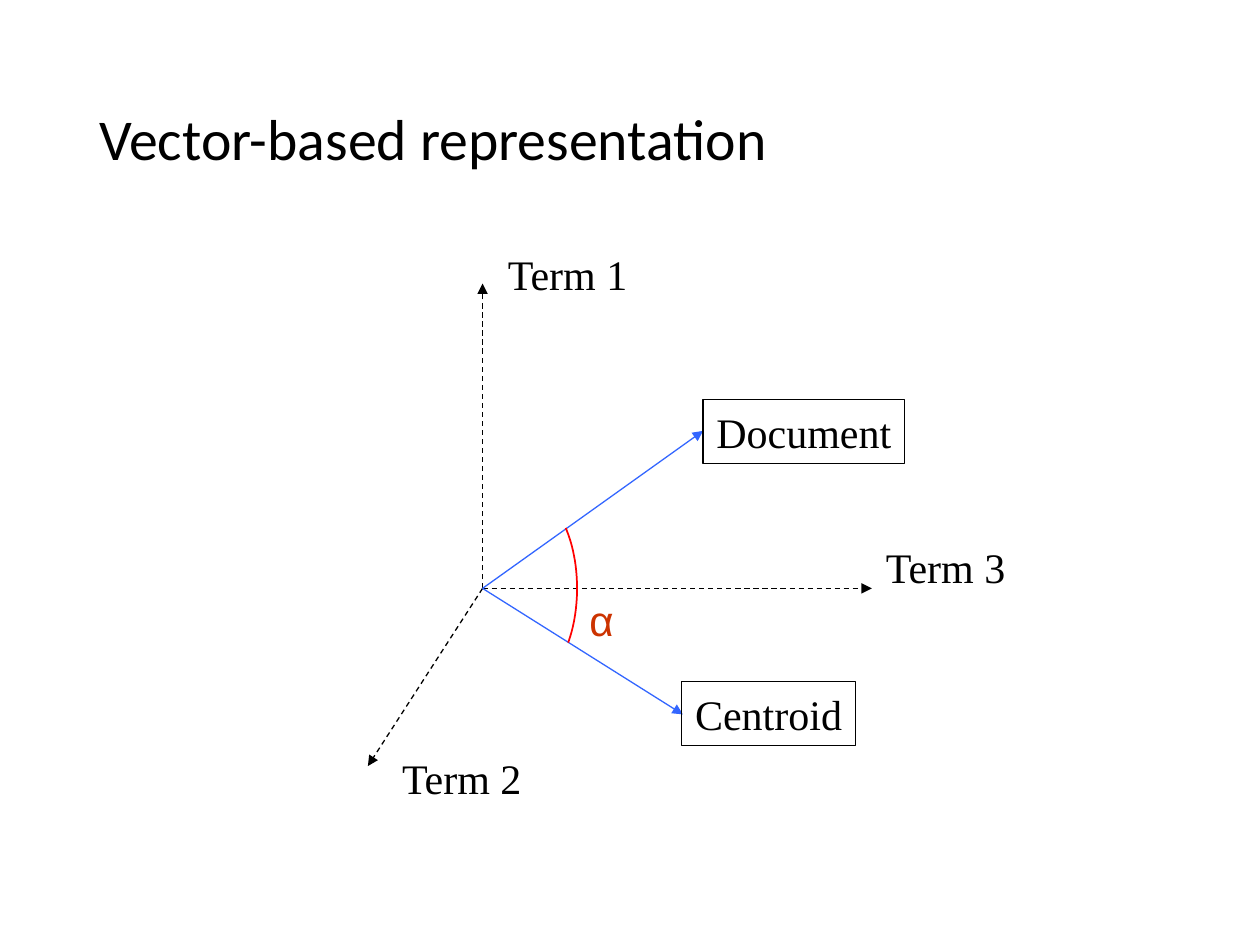
from dataclasses import dataclass
from math import asin, cos, sin

from pptx import Presentation
from pptx.dml.color import RGBColor
from pptx.enum.dml import MSO_LINE
from pptx.enum.shapes import MSO_CONNECTOR, MSO_SHAPE
from pptx.enum.text import MSO_ANCHOR, MSO_AUTO_SIZE, PP_ALIGN
from pptx.oxml.xmlchemy import OxmlElement
from pptx.slide import Slide
from pptx.util import Inches, Pt

BLACK, BLUE, RED, RUST = "000000", "3366FF", "FF0000", "CC3300"
ORIGIN = (3.83, 4.67)


@dataclass
class Label:
    """A piece of text with its place and look."""
    text: str
    left: float
    top: float
    width: float
    height: float = 0.5
    font: str = "Times New Roman"
    size: int = 24
    color: str = BLACK
    align: PP_ALIGN = PP_ALIGN.CENTER
    anchor: MSO_ANCHOR = MSO_ANCHOR.MIDDLE
    wrap: bool = False
    fit: MSO_AUTO_SIZE = MSO_AUTO_SIZE.SHAPE_TO_FIT_TEXT
    spacing: float = 1.0
    framed: bool = False


@dataclass
class Arrow:
    """An arrow that starts at the origin."""
    x: float
    y: float
    color: str = BLACK
    dashed: bool = True


LABELS = [
    Label("Vector-based representation", 0.69, 0.4, 8.62, 1.45, "Calibri", 33,
          align=PP_ALIGN.LEFT, wrap=True, fit=MSO_AUTO_SIZE.NONE, spacing=0.9),
    Label("Term 1", 3.92, 1.92, 1.17),
    Label("Term 2", 3.08, 5.92, 1.17),
    Label("Term 3", 6.92, 4.25, 1.17),
    Label("Document", 5.58, 3.17, 1.6, 0.51, framed=True),
    Label("Centroid", 5.41, 5.41, 1.38, 0.51, framed=True),
    Label("α", 4.58, 4.67, 0.5, font="Arial", color=RUST, align=PP_ALIGN.LEFT,
          anchor=MSO_ANCHOR.TOP, wrap=True),
]
ARROWS = [
    Arrow(3.83, 2.25),
    Arrow(2.92, 6.08),
    Arrow(6.92, 4.67),
    Arrow(5.58, 3.42, BLUE, False),
    Arrow(5.42, 5.67, BLUE, False),
]


def rgb(value: str) -> RGBColor:
    """Turn a hex string into a colour."""
    return RGBColor.from_string(value)


def assign(target: object, values: dict) -> None:
    """Set each named attribute of the target."""
    for name, value in values.items():
        setattr(target, name, value)


def style_line(shape, color: str, width: float) -> None:
    """Give a shape's line its colour and width."""
    shape.line.color.rgb = rgb(color)
    shape.line.width = Pt(width)


def draw_arrow(page: Slide, arrow: Arrow) -> None:
    """Draw one arrow with a triangular head."""
    ends = [Inches(value) for value in (*ORIGIN, arrow.x, arrow.y)]
    connector = page.shapes.add_connector(MSO_CONNECTOR.STRAIGHT, *ends)
    style_line(connector, arrow.color, 0.75)
    if arrow.dashed:
        connector.line.dash_style = MSO_LINE.DASH
    head = OxmlElement("a:tailEnd")
    head.set("type", "triangle")
    connector.line._get_or_add_ln().append(head)
    connector._element.spPr.append(OxmlElement("a:effectLst"))


def draw_label(page: Slide, label: Label) -> None:
    """Draw one label, framed or plain."""
    place = [Inches(value) for value in (label.left, label.top, label.width, label.height)]
    if label.framed:
        box = page.shapes.add_shape(MSO_SHAPE.RECTANGLE, *place)
        box.shadow.inherit = False
        box.fill.background()
        style_line(box, BLACK, 0.75)
    else:
        box = page.shapes.add_textbox(*place)
    frame = box.text_frame
    assign(frame, {"word_wrap": label.wrap, "auto_size": label.fit,
                   "vertical_anchor": label.anchor})
    para = frame.paragraphs[0]
    assign(para, {"alignment": label.align, "line_spacing": label.spacing})
    span = para.add_run()
    span.text = label.text
    assign(span.font, {"name": label.font, "size": Pt(label.size)})
    span.font.color.rgb = rgb(label.color)


def draw_angle(page: Slide) -> None:
    """Draw the elliptical arc between the two vectors."""
    center_x, center_y, radius_x, radius_y = 4.19, 4.67, 0.39, 0.75
    start, end = (asin((y - center_y) / radius_y) for y in (4.19, 5.1))
    steps = 40
    angles = [start + (end - start) * step / steps for step in range(steps + 1)]
    points = [(Inches(center_x + radius_x * cos(angle)),
               Inches(center_y + radius_y * sin(angle))) for angle in angles]
    builder = page.shapes.build_freeform(*points[0])
    builder.add_line_segments(points[1:], close=False)
    arc = builder.convert_to_shape()
    arc.shadow.inherit = False
    arc.fill.background()
    style_line(arc, RED, 1)


def main() -> None:
    """Build and save the slide."""
    deck = Presentation()
    assign(deck, {"slide_width": Inches(10), "slide_height": Inches(7.5)})
    page = deck.slides.add_slide(deck.slide_layouts[6])
    for arrow in ARROWS:
        draw_arrow(page, arrow)
    draw_angle(page)
    for label in LABELS:
        draw_label(page, label)
    deck.save("out.pptx")


if __name__ == "__main__":
    main()
